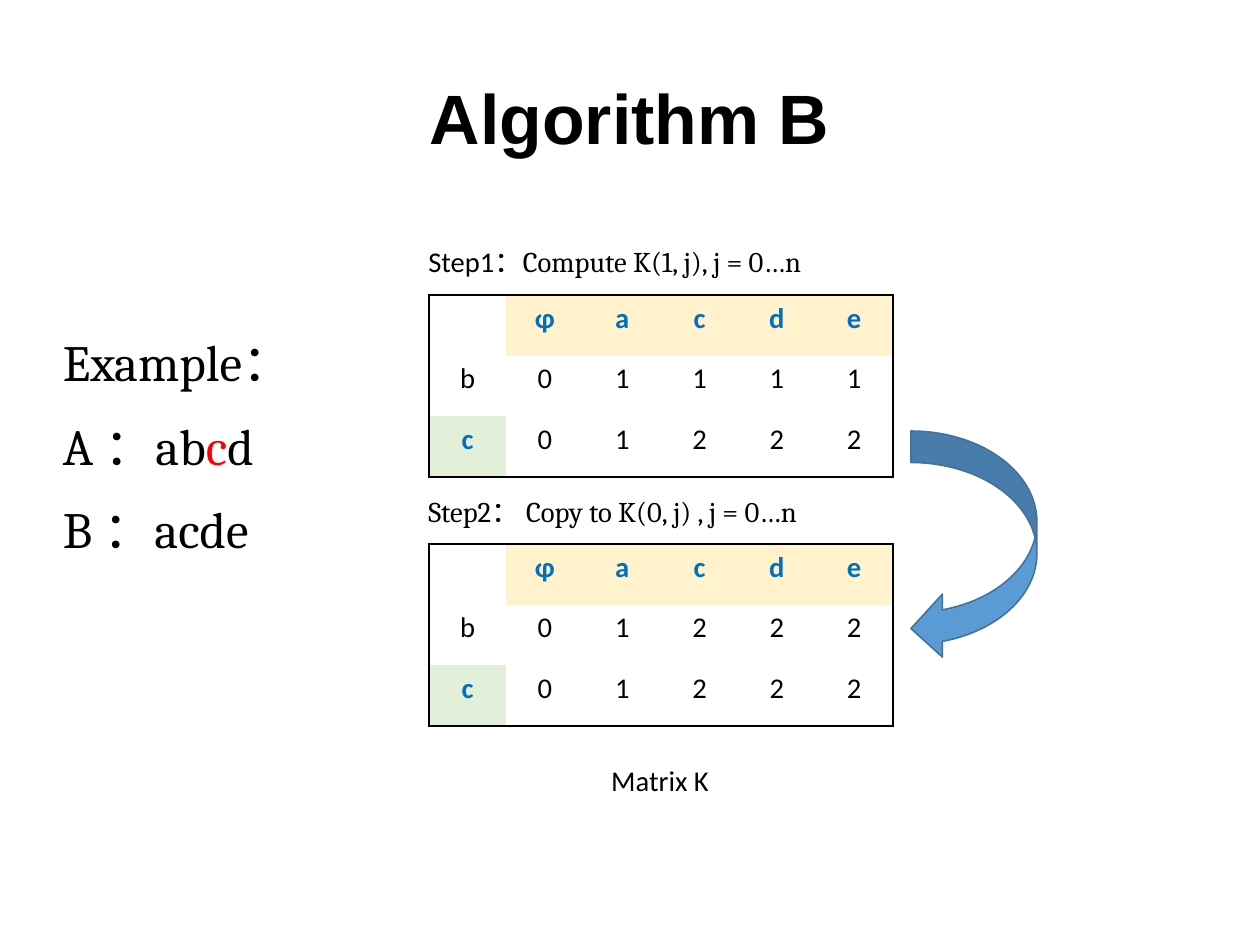
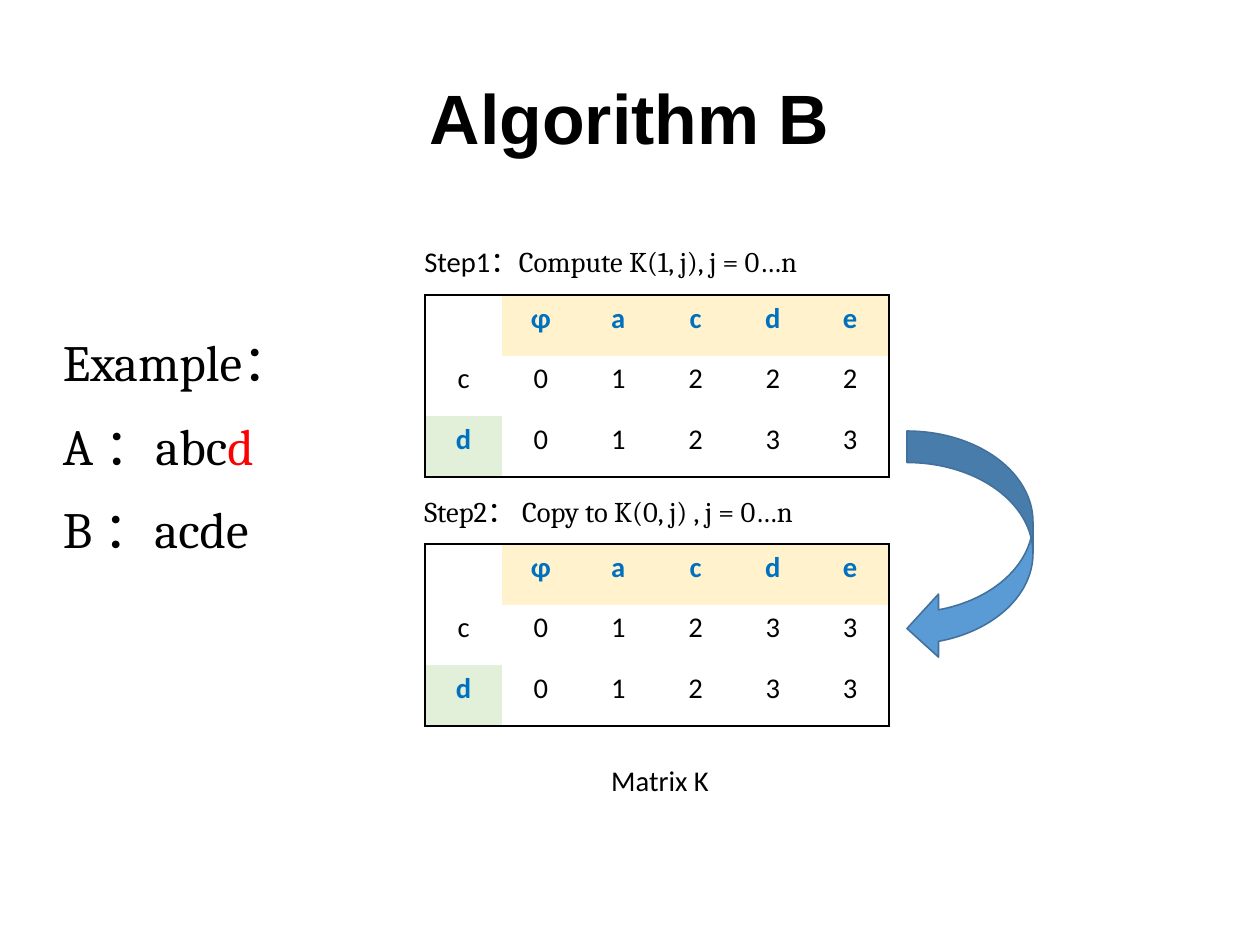
"""Build two slides that trace Algorithm B on the matrix K."""
from lxml import etree
from pptx import Presentation, util as u
from pptx.dml.color import RGBColor
from pptx.enum import shapes, text
from pptx.oxml import ns

COLORS = {"ink": "000000", "mark": "FF0000", "key": "0070C0", "head": "FFF2CC",
          "side": "E2F0D9", "arrow": "5B9BD5", "edge": "41719C"}
CJK = "Noto Sans CJK TC"
TITLE = {"size": u.Pt(44), "name": "Arial", "bold": True}
EXAMPLE = {"size": u.Pt(32), "name": "Cambria"}
LABEL = {"size": u.Pt(18), "name": "Calibri"}
SERIF = {**LABEL, "name": "Cambria"}
KEY = {**LABEL, "bold": True}
NO_STYLE = "{2D5ABB26-0587-4C30-8999-92F81FD0307C}"
HEADER = ["", "ɸ", "a", "c", "d", "e"]
TABLE_SIZE = (464, 182)
STEPS = [
    (295, 238, [("Step1", LABEL), ("：", {**LABEL, "name": CJK}),
                ("Compute K(1, j), j = 0…n", SERIF)]),
    (544, 488, [("Step2： Copy to K(0, j) , j = 0…n", SERIF)]),
]
SLIDES = [
    (429, "bc", [("01111", "01222"), ("01222", "01222")]),
    (425, "cd", [("01222", "01233"), ("01233", "01233")]),
]


def px(n):
    """Turn pixels into EMU."""
    return u.Emu(n * 8000)


def rgb(name):
    """Look up a named colour."""
    return RGBColor.from_string(COLORS[name])


def add_run(p, words, fmt, color="ink"):
    """Add a formatted run to a paragraph."""
    r = p.add_run()
    r.text = words
    for key, value in fmt.items():
        setattr(r.font, key, value)
    r.font.color.rgb = rgb(color)
    r.font._element.get_or_add_latin().addnext(
        etree.Element(ns.qn("a:ea"), typeface=CJK))


def add_text(s, box, paras, inset=True, before=0, **frame):
    """Add a text box whose paragraphs are lists of run arguments."""
    tf = s.shapes.add_textbox(*map(px, box)).text_frame
    tf.word_wrap = True
    for key, value in frame.items():
        setattr(tf, key, value)
    if not inset:
        for side in ("left", "right", "top", "bottom"):
            setattr(tf, "margin_" + side, 0)
    for i, runs in enumerate(paras):
        p = tf.add_paragraph() if i else tf.paragraphs[0]
        if i and before:
            p.space_before = u.Pt(before)
        for run in runs:
            add_run(p, *run)
    return tf


def add_border(cell, side):
    """Draw a black line on one side of a cell."""
    ln = etree.SubElement(cell._tc.get_or_add_tcPr(), ns.qn("a:ln" + side), w="12700")
    fill = etree.SubElement(ln, ns.qn("a:solidFill"))
    etree.SubElement(fill, ns.qn("a:srgbClr"), val=COLORS["ink"])


def add_matrix(s, left, top, rows):
    """Add a matrix with an outer frame, a shaded header and a shaded row key."""
    n_rows, n_cols = len(rows), len(rows[0])
    width, height = map(px, TABLE_SIZE)
    table = s.shapes.add_table(n_rows, n_cols, px(left), px(top), width, height).table
    table.first_row = table.horz_banding = False
    table._tbl.tblPr.find(ns.qn("a:tableStyleId")).text = NO_STYLE
    for col in table.columns:
        col.width = width // n_cols
    for i, row in enumerate(rows):
        table.rows[i].height = height // n_rows
        for j, words in enumerate(row):
            cell = table.cell(i, j)
            edges = {"L": j == 0, "R": j == n_cols - 1, "T": i == 0, "B": i == n_rows - 1}
            for side, outer in edges.items():
                if outer:
                    add_border(cell, side)
            cell.margin_left = cell.margin_right = px(7)
            cell.margin_top = cell.margin_bottom = px(6)
            shade = "head" if i == 0 and j else "side" if i == n_rows - 1 and j == 0 else None
            if shade:
                cell.fill.solid()
                cell.fill.fore_color.rgb = rgb(shade)
            else:
                cell.fill.background()
            p = cell.text_frame.paragraphs[0]
            p.alignment = text.PP_ALIGN.CENTER
            if words:
                add_run(p, words, *((KEY, "key") if shade else (LABEL,)))


def add_arrow(s, left):
    """Add the curved arrow from the first matrix to the second."""
    sp = s.shapes.add_shape(shapes.MSO_SHAPE.CURVED_LEFT_ARROW,
                            *map(px, (left, 431, 126, 229)))
    sp.shadow.inherit = False
    sp.fill.solid()
    sp.fill.fore_color.rgb = rgb("arrow")
    sp.line.color.rgb = rgb("edge")
    sp.line.width = u.Pt(1)


def add_example(s, letter):
    """Add the two strings, with the current letter of A marked."""
    before, _, after = "abcd".partition(letter)
    line_a = [("A ：" + before, EXAMPLE), (letter, EXAMPLE, "mark")]
    if after:
        line_a.append((after, EXAMPLE))
    paras = [[("Example", EXAMPLE), ("：", {**EXAMPLE, "name": CJK})],
             line_a, [("B ：acde", EXAMPLE)]]
    add_text(s, (63, 331, 340, 260), paras, inset=False, before=14.2)


def add_slide(prs, left, keys, matrices):
    """Add one step of the algorithm."""
    s = prs.slides.add_slide(prs.slide_layouts[6])
    tf = add_text(s, (63, 38, 1134, 158), [[("Algorithm B", TITLE)]], inset=False,
                  vertical_anchor=text.MSO_ANCHOR.MIDDLE)
    tf.paragraphs[0].alignment = text.PP_ALIGN.CENTER
    add_example(s, keys[-1])
    for (top, label_top, label), values in zip(STEPS, matrices):
        add_matrix(s, left, top, [HEADER] + [[k, *v] for k, v in zip(keys, values)])
        add_text(s, (left - 12, label_top, 437, 46), [label])
    add_arrow(s, left + 482)
    add_text(s, (600, 757, 121, 46), [[("Matrix K", LABEL)]])


def main():
    """Build and save the presentation."""
    prs = Presentation()
    prs.slide_width, prs.slide_height = px(1260), px(945)
    for content in SLIDES:
        add_slide(prs, *content)
    prs.save("out.pptx")


if __name__ == "__main__":
    main()
